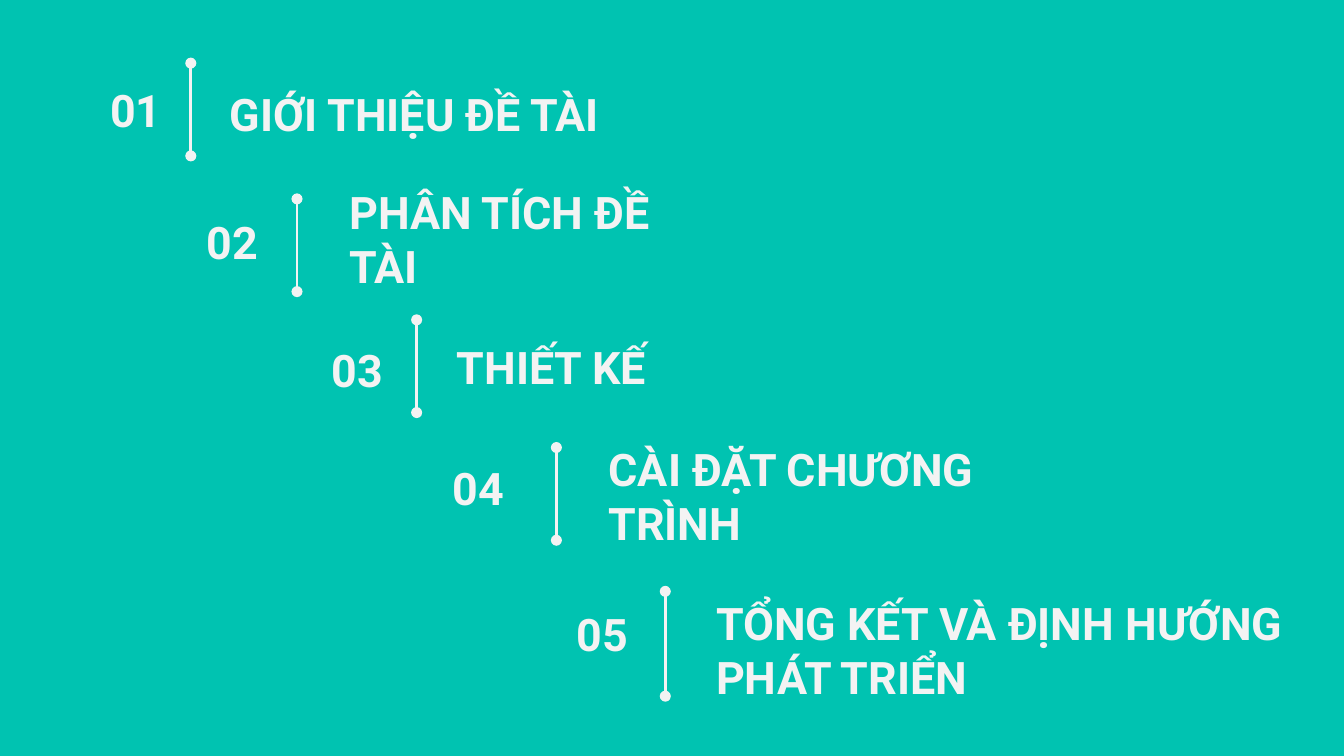
"""Build an agenda slide whose five numbered sections step down to the right."""
from lxml import etree
from pptx import Presentation
from pptx.dml.color import RGBColor
from pptx.enum.shapes import MSO_CONNECTOR
from pptx.enum.text import MSO_ANCHOR, PP_ALIGN
from pptx.oxml.ns import qn
from pptx.util import Inches, Pt

STRAIGHT = MSO_CONNECTOR.STRAIGHT
MIDDLE = MSO_ANCHOR.MIDDLE
LEFT, RIGHT = PP_ALIGN.LEFT, PP_ALIGN.RIGHT

SLIDE_WIDTH = 10
SLIDE_HEIGHT = SLIDE_WIDTH * 9 / 16
COLORS = {"background": "00C3B1", "foreground": "F3F3F3"}
FONT = "Roboto"

SECTIONS = [
    {"title": "GIỚI THIỆU ĐỀ TÀI", "title_box": (1.61, 0.47, 3.35, 0.75),
     "number_box": (0.71, 0.58, 0.59, 0.47), "divider": (1.42, 0.47, 0.69)},
    {"title": "PHÂN TÍCH ĐỀ TÀI", "title_box": (2.5, 1.4, 2.92, 0.75),
     "number_box": (1.28, 1.48, 0.74, 0.64), "divider": (2.21, 1.48, 0.69)},
    {"title": "THIẾT KẾ", "title_box": (3.3, 2.35, 2.56, 0.75),
     "number_box": (2.29, 2.45, 0.66, 0.6), "divider": (3.1, 2.38, 0.69)},
    {"title": "CÀI ĐẶT CHƯƠNG TRÌNH", "title_box": (4.43, 3.31, 3.89, 0.75),
     "number_box": (3.1, 3.33, 0.75, 0.6), "divider": (4.14, 3.33, 0.69)},
    {"title": "TỔNG KẾT VÀ ĐỊNH HƯỚNG PHÁT TRIỂN", "title_box": (5.23, 4.4, 4.57, 0.87),
     "number_box": (3.93, 4.34, 0.84, 0.75), "divider": (4.95, 4.4, 0.78)},
]


def add_text(slide, text, box, align=LEFT, size=24, bold=True, color="foreground"):
    shape = slide.shapes.add_textbox(*map(Inches, box))
    frame = shape.text_frame
    frame.word_wrap = True
    frame.vertical_anchor = MIDDLE
    frame.margin_left = frame.margin_right = Inches(0.1)
    frame.margin_top = frame.margin_bottom = Inches(0.1)
    paragraph = frame.paragraphs[0]
    paragraph.alignment = align
    run = paragraph.add_run()
    run.text = text
    run.font.name = FONT
    run.font.size = Pt(size)
    run.font.bold = bold
    run.font.color.rgb = RGBColor.from_string(COLORS[color])


def add_divider(slide, x, top, height):
    connector = slide.shapes.add_connector(
        STRAIGHT, Inches(x), Inches(top), Inches(x), Inches(top + height))
    connector.line.width = Pt(1.5)
    connector.line.color.rgb = RGBColor.from_string(COLORS["foreground"])
    properties = connector.element.spPr
    line = properties.find(qn("a:ln"))
    for end in ("a:headEnd", "a:tailEnd"):
        etree.SubElement(line, qn(end), type="oval", w="med", len="med")
    etree.SubElement(properties, qn("a:effectLst"))


def main():
    presentation = Presentation()
    presentation.slide_width = Inches(SLIDE_WIDTH)
    presentation.slide_height = Inches(SLIDE_HEIGHT)
    slide = presentation.slides.add_slide(presentation.slide_layouts[6])
    background = slide.background.fill
    background.solid()
    background.fore_color.rgb = RGBColor.from_string(COLORS["background"])

    for number, section in enumerate(SECTIONS, start=1):
        add_text(slide, f"{number:02d}", section["number_box"], align=RIGHT)
        add_divider(slide, *section["divider"])
        add_text(slide, section["title"], section["title_box"])

    presentation.save("out.pptx")


if __name__ == "__main__":
    main()
